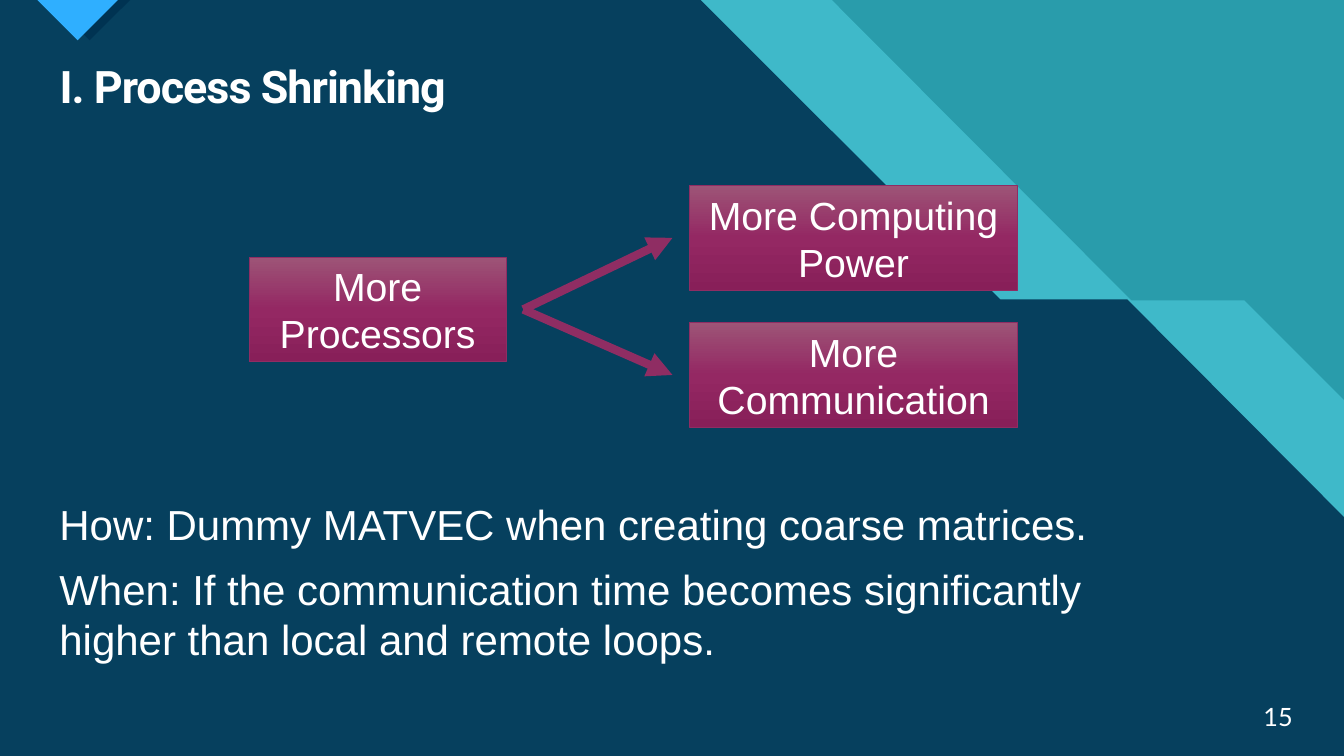
from copy import deepcopy
from pptx import Presentation
from pptx.dml.color import RGBColor as Rgb
from pptx.enum.shapes import MSO_CONNECTOR as Conn, MSO_SHAPE as Geo
from pptx.enum.text import MSO_ANCHOR as Anchor, PP_ALIGN as Align
from pptx.oxml.ns import qn
from pptx.util import Inches, Pt
from lxml.etree import SubElement as Sub

HUES = {
    "teal": "299CAB", "aqua": "3FB9C9", "navy": "06405E", "shade": "003352",
    "blue": "2FAFFF", "white": "FFFFFF", "plum": "8F2D63",
}
FADE = [(0, "9D5477"), (0.5, "942863"), (1, "881F59")]


def hue(name):
    return Rgb.from_string(HUES[name])


def write(frame, *lines, size=28, font="Arial", bold=None, align=Align.LEFT,
          anchor=Anchor.TOP, before=0, after=0, lead=None, track=None):
    frame.word_wrap = True
    frame.vertical_anchor = anchor
    for i, line in enumerate(lines):
        para = frame.add_paragraph() if i else frame.paragraphs[0]
        para.alignment = align
        para.space_before, para.space_after = Pt(before), Pt(after)
        para.line_spacing = lead
        run = para.add_run()
        run.text = line
        face = run.font
        face.name, face.size, face.bold = font, Pt(size), bold
        face.color.rgb = hue("white")
        if track:
            run._r.get_or_add_rPr().set("spc", str(int(track * 100)))


class Deck:
    def __init__(self, wide, high):
        self.prs = Presentation()
        self.prs.slide_width, self.prs.slide_height = Inches(wide), Inches(high)
        self.slide = self.prs.slides.add_slide(self.prs.slide_layouts[5])
        self.shapes = self.slide.shapes
        back = self.slide.background.fill
        back.solid()
        back.fore_color.rgb = hue("teal")

    def title(self, text, *area, **style):
        head = self.shapes.title
        head.left, head.top, head.width, head.height = map(Inches, area)
        write(head.text_frame, text, **style)
        # Bring the title in front of the bands
        head._element.getparent().append(head._element)

    def text(self, lines, *area, **style):
        box = self.shapes.add_textbox(*map(Inches, area))
        write(box.text_frame, *lines, **style)

    def poly(self, color, points):
        dots = [(Inches(x), Inches(y)) for x, y in points]
        path = self.shapes.build_freeform(*dots[0])
        path.add_line_segments(dots[1:], close=True)
        form = path.convert_to_shape()
        form.shadow.inherit = False
        form.fill.solid()
        form.fill.fore_color.rgb = hue(color)
        form.line.fill.background()

    def box(self, text, *area):
        rect = self.shapes.add_shape(Geo.RECTANGLE, *map(Inches, area))
        rect.shadow.inherit = False
        rect.fill.gradient()
        rect.fill.gradient_angle = 270
        # A third stop for the gradient
        stops = next(rect._element.spPr.iter(qn("a:gsLst")))
        stops.append(deepcopy(stops[0]))
        for stop, (pos, color) in zip(rect.fill.gradient_stops, FADE):
            stop.position = pos
            stop.color.rgb = Rgb.from_string(color)
        rect.line.color.rgb = hue("plum")
        rect.line.width = Pt(0.5)
        write(rect.text_frame, text, align=Align.CENTER, anchor=Anchor.MIDDLE)

    def arrow(self, *ends):
        link = self.shapes.add_connector(Conn.STRAIGHT, *map(Inches, ends))
        link.line.color.rgb = hue("plum")
        link.line.width = Pt(6)
        Sub(link.line._get_or_add_ln(), qn("a:tailEnd"), type="triangle")
        Sub(link._element.spPr, qn("a:effectLst"))


def main():
    deck = Deck(13.33, 7.5)

    # Background bands and corner marker
    deck.poly("aqua", [(0, 0), (8.25, 0), (11.22, 2.98), (12.34, 2.98),
                       (13.33, 3.97), (13.33, 7.5), (0, 7.5)])
    deck.poly("navy", [(0, 0), (6.95, 0), (9.92, 2.97), (11.18, 2.97),
                       (13.33, 5.13), (13.33, 7.5), (0, 7.5)])
    for color, left in (("shade", 0.49), ("blue", 0.37)):
        deck.poly(color, [(left, 0), (left + 0.8, 0), (left + 0.4, 0.4)])

    # Title and slide number
    deck.title("I. Process Shrinking", 0.49, 0.59, 12.26, 0.59, size=32,
               font="Roboto", bold=True, anchor=Anchor.MIDDLE, lead=0.9,
               track=-0.7)
    deck.text(["15"], 12.31, 6.91, 0.61, 0.4, size=18, font="Lato",
              align=Align.RIGHT, anchor=Anchor.MIDDLE)

    # Cause and its two effects
    deck.box("More Processors", 2.47, 2.55, 2.55, 1.04)
    effects = [("More Computing Power", 1.84), ("More Communication", 3.2)]
    for text, top in effects:
        deck.arrow(5.19, 3.07, 6.67, top + 0.52)
        deck.box(text, 6.84, top, 3.25, 1.04)

    # How and when
    deck.text(["How: Dummy MATVEC when creating coarse matrices.",
               "When: If the communication time becomes significantly "
               "higher than local and remote loops."],
              0.49, 4.9, 11.55, 2.16, size=30, before=6, after=4)

    deck.prs.save("out.pptx")


if __name__ == "__main__":
    main()
